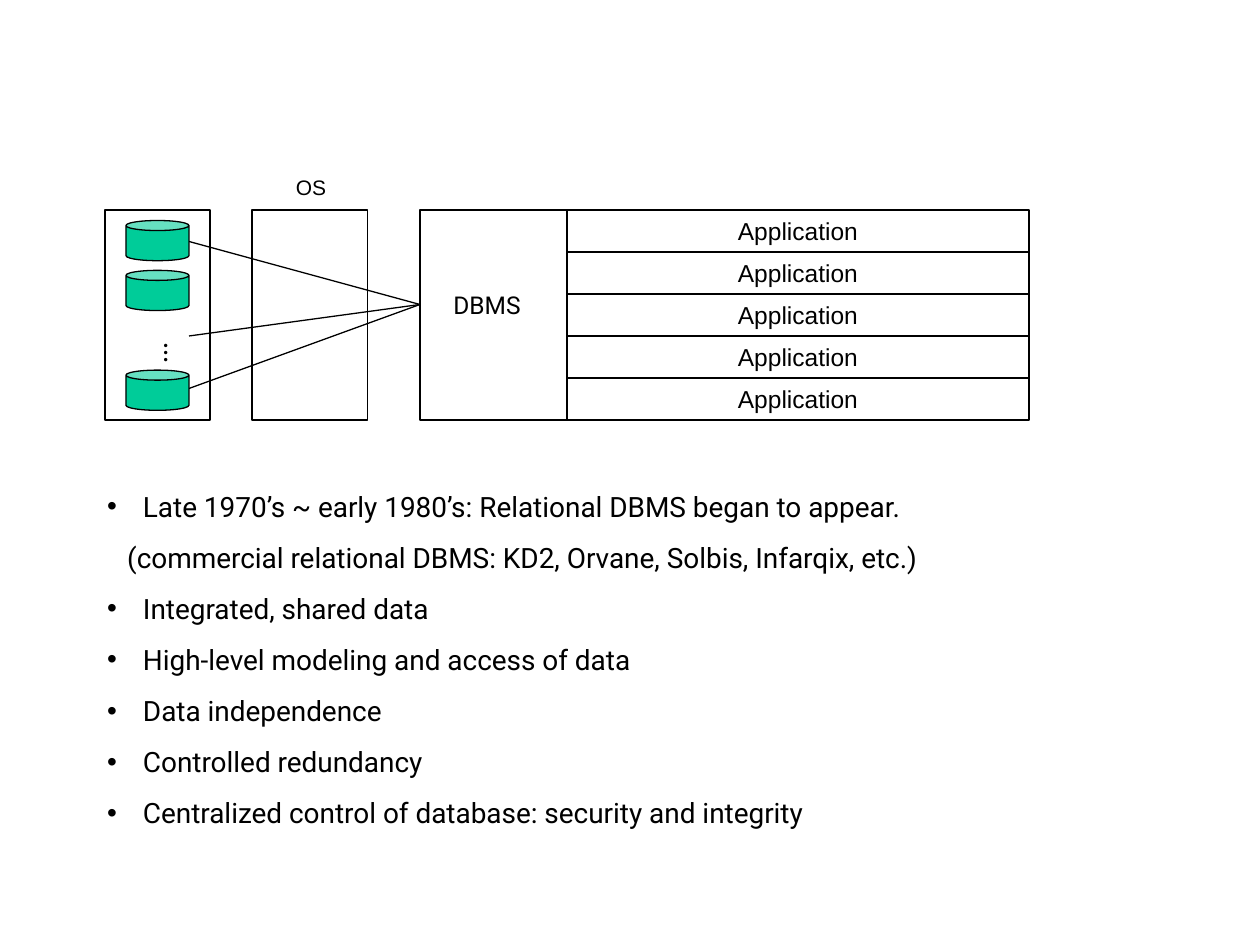
from pptx import Presentation
from pptx.dml.color import RGBColor
from pptx.enum.shapes import MSO_CONNECTOR, MSO_SHAPE
from pptx.enum.text import MSO_ANCHOR, MSO_AUTO_SIZE, PP_ALIGN
from pptx.oxml.ns import qn
from pptx.util import Pt
from lxml import etree

RECT, CAN = MSO_SHAPE.RECTANGLE, MSO_SHAPE.CAN
LINE = MSO_CONNECTOR.STRAIGHT
LEFT, MID = PP_ALIGN.LEFT, PP_ALIGN.CENTER
TOP, CENTER = MSO_ANCHOR.TOP, MSO_ANCHOR.MIDDLE
FIXED = MSO_AUTO_SIZE.NONE

INK, GREEN = "000000", "00CC99"


def color(code):
    return RGBColor.from_string(code)


def apply(item, values):
    for name, value in values.items():
        setattr(item, name, value)


class Board:
    """Holds the slide and its common style."""
    width = Pt(0.75)
    wide = {"margin_left": Pt(7.2), "margin_right": Pt(7.2),
            "margin_top": Pt(3.6), "margin_bottom": Pt(3.6)}

    def __init__(self, slide):
        self.slide = slide

    def words(self, para, text, size, face, align=LEFT, bold=False):
        para.alignment = align
        run = para.add_run()
        run.text = text
        apply(run.font, {"size": Pt(size), "name": face, "bold": bold})
        run.font.color.rgb = color(INK)

    def shape(self, kind, x, y, w, h, fill=None):
        item = self.slide.shapes.add_shape(kind, Pt(x), Pt(y), Pt(w), Pt(h))
        item.shadow.inherit = False
        if fill:
            item.fill.solid()
            item.fill.fore_color.rgb = color(fill)
        else:
            item.fill.background()
        item.line.color.rgb = color(INK)
        item.line.width = self.width
        return item

    def label(self, text, x, y, w, h, size, face, bold=False):
        item = self.slide.shapes.add_textbox(Pt(x), Pt(y), Pt(w), Pt(h))
        frame = item.text_frame
        apply(frame, {**self.wide, "word_wrap": True, "vertical_anchor": TOP})
        self.words(frame.paragraphs[0], text, size, face, bold=bold)
        return frame

    def cell(self, text, x, y, w, h):
        frame = self.shape(RECT, x, y, w, h).text_frame
        apply(frame, {**self.wide, "word_wrap": True,
                      "vertical_anchor": CENTER})
        self.words(frame.paragraphs[0], text, 14, "Arial", MID)

    def link(self, x1, y1, x2, y2):
        item = self.slide.shapes.add_connector(
            LINE, Pt(x1), Pt(y1), Pt(x2), Pt(y2))
        item.line.color.rgb = color(INK)
        item.line.width = self.width
        etree.SubElement(item._element.spPr, qn("a:effectLst"))

    def points(self, rows, x, y, w, h):
        body = self.slide.placeholders[1]
        apply(body, {"left": Pt(x), "top": Pt(y),
                     "width": Pt(w), "height": Pt(h)})
        frame = body.text_frame
        apply(frame, {**self.wide, "word_wrap": True, "auto_size": FIXED,
                      "vertical_anchor": TOP})
        for i, (text, mark) in enumerate(rows):
            para = frame.add_paragraph() if i else frame.paragraphs[0]
            apply(para, {"space_before": Pt(10), "line_spacing": 1.0})
            props = para._p.get_or_add_pPr()
            props.set("marL", str(Pt(20.5 if mark else 11.5)))
            props.set("indent", str(Pt(-20.5 if mark else 0)))
            if mark:
                etree.SubElement(props, qn("a:buChar")).set("char", "•")
            else:
                etree.SubElement(props, qn("a:buNone"))
            self.words(para, text, 16, "Roboto")


def main():
    deck = Presentation()
    deck.slide_width, deck.slide_height = Pt(720), Pt(540)
    slide = deck.slides.add_slide(deck.slide_layouts[1])
    title = slide.shapes.title._element
    title.getparent().remove(title)
    board = Board(slide)

    # Frames for the files, the OS and the DBMS
    top, tall = 120, 120
    for x, w in ((60, 60), (144, 66), (240, 84)):
        board.shape(RECT, x, top, w, tall)
    board.label("OS", 162, 96, 42, 21.5, 12, "Arial")
    board.label("DBMS", 252, 162, 66, 24.5, 14, "Roboto")

    # Stack of applications
    count = 5
    step = tall / count
    for i in range(count):
        board.cell("Application", 324, top + i * step, 264, step)

    # Links from the DBMS to the files
    for y in (138, 192, 222):
        board.link(240, 174, 108, y)

    # Data files, with dots in the third place
    for i in (0, 1, 3):
        can = board.shape(CAN, 72, 126 + i * 28.5, 36, 23, GREEN)
        can.adjustments[0] = 0.25
    dots = board.label("…", 78.5, 188.5, 29, 17.5, 12,
                       "Times New Roman", bold=True)
    apply(dots, {"margin_left": Pt(3.6), "margin_right": Pt(3.6),
                 "margin_top": Pt(7.2), "margin_bottom": Pt(7.2)})
    dots._txBody.bodyPr.set("vert", "eaVert")

    # Main points
    board.points([
        ("Late 1970’s ~ early 1980’s: Relational DBMS began to appear.", True),
        ("(commercial relational DBMS: KD2, Orvane, Solbis, Infarqix, etc.)",
         False),
        ("Integrated, shared data", True),
        ("High-level modeling and access of data", True),
        ("Data independence", True),
        ("Controlled redundancy", True),
        ("Centralized control of database: security and integrity", True),
    ], 54, 276, 606, 201.5)

    deck.save("out.pptx")


if __name__ == "__main__":
    main()
